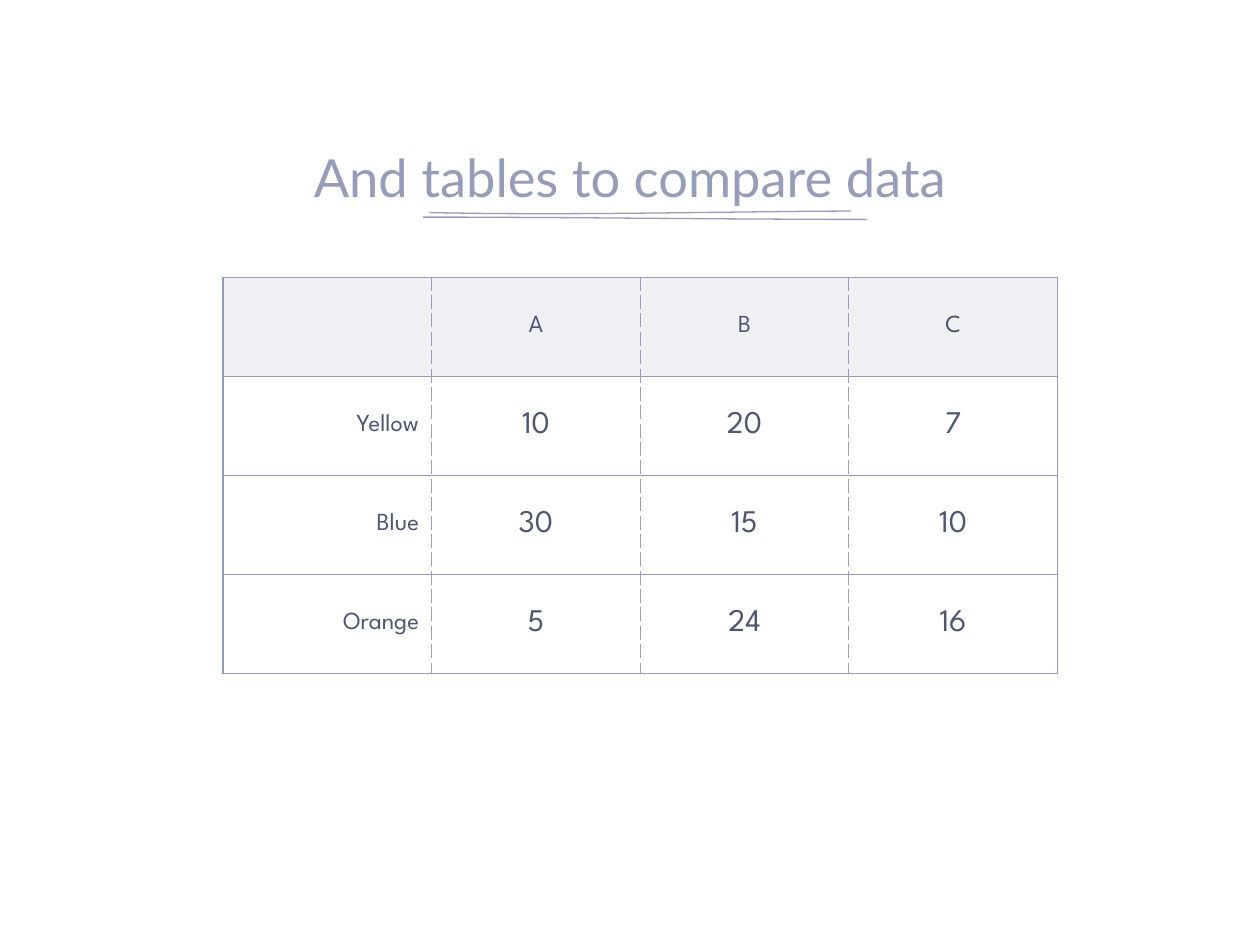
from dataclasses import dataclass

from lxml.etree import SubElement
from pptx import Presentation
from pptx.dml.color import RGBColor
from pptx.enum.text import MSO_ANCHOR, MSO_AUTO_SIZE, PP_ALIGN
from pptx.oxml import parse_xml
from pptx.oxml.ns import nsdecls, qn
from pptx.slide import Slide
from pptx.table import _Cell
from pptx.text.text import _Paragraph
from pptx.util import Pt

LAVENDER = RGBColor(0x97, 0x9C, 0xB8)
SLATE = RGBColor(0x50, 0x56, 0x70)
LINE_WIDTH = Pt(0.75)
INSET = Pt(7.2)
HEADER_OPACITY = 15000  # thousandths of a percent
CURVE_STEPS = 24
TABLE_LEFT, TABLE_TOP = Pt(127.45), Pt(158.4)
COLUMN_WIDTH, ROW_HEIGHT = Pt(119.2), Pt(56.6)
FRAME_FORMAT = {
    "margin_left": INSET, "margin_right": INSET,
    "margin_top": INSET, "margin_bottom": INSET,
}
ROWS = [
    ("", "A", "B", "C"),
    ("Yellow", "10", "20", "7"),
    ("Blue", "30", "15", "10"),
    ("Orange", "5", "24", "16"),
]


@dataclass
class TextStyle:
    font: str
    size: float
    color: RGBColor
    alignment: PP_ALIGN


@dataclass
class Stroke:
    """A cubic curve: start, two control points and end, in points."""
    points: tuple[tuple[float, float], ...]


UNDERLINES = [
    Stroke(((245.6, 121.5), (326.2, 123.2), (406.1, 121), (486.6, 120.6))),
    Stroke(((241.7, 124.1), (326.2, 124.1), (411.1, 125.4), (495.5, 125.4))),
]


def set_attributes(target: object, values: dict) -> None:
    for name, value in values.items():
        setattr(target, name, value)


def write_text(paragraph: _Paragraph, text: str, style: TextStyle) -> None:
    paragraph.alignment = style.alignment
    run = paragraph.add_run()
    run.text = text
    set_attributes(run.font, {"name": style.font, "size": Pt(style.size), "bold": False})
    run.font.color.rgb = style.color


def draw_stroke(slide: Slide, stroke: Stroke) -> None:
    def position(t: float) -> tuple[int, int]:
        weights = ((1 - t) ** 3, 3 * t * (1 - t) ** 2, 3 * t ** 2 * (1 - t), t ** 3)
        x, y = (sum(w * p[axis] for w, p in zip(weights, stroke.points)) for axis in (0, 1))
        return Pt(x), Pt(y)

    start, *rest = [position(step / CURVE_STEPS) for step in range(CURVE_STEPS + 1)]
    builder = slide.shapes.build_freeform(*start)
    builder.add_line_segments(rest, close=False)
    shape = builder.convert_to_shape()
    shape.shadow.inherit = False
    shape.fill.background()
    shape.line.color.rgb = LAVENDER
    shape.line.width = LINE_WIDTH


def set_borders(cell: _Cell, dashes: dict[str, str]) -> None:
    properties = cell._tc.get_or_add_tcPr()
    for index, (side, dash) in enumerate(dashes.items()):
        border = parse_xml(
            f'<a:{side} {nsdecls("a")} w="{LINE_WIDTH}"><a:solidFill>'
            f'<a:srgbClr val="{LAVENDER}"/></a:solidFill>'
            f'<a:prstDash val="{dash}"/></a:{side}>')
        properties.insert(index, border)


def fill_cell(cell: _Cell, is_header: bool) -> None:
    if not is_header:
        cell.fill.background()
        return
    cell.fill.solid()
    cell.fill.fore_color.rgb = LAVENDER
    color = cell._tc.tcPr.find(".//" + qn("a:srgbClr"))
    SubElement(color, qn("a:alpha"), val=str(HEADER_OPACITY))


def add_title(slide: Slide) -> None:
    title = slide.shapes.title
    set_attributes(title, {"left": Pt(81), "top": Pt(54),
                           "width": Pt(558), "height": Pt(72)})
    set_attributes(title.text_frame, FRAME_FORMAT | {
        "vertical_anchor": MSO_ANCHOR.BOTTOM, "word_wrap": True,
        "auto_size": MSO_AUTO_SIZE.NONE})
    write_text(title.text_frame.paragraphs[0], "And tables to compare data",
               TextStyle("Lato", 30, LAVENDER, PP_ALIGN.CENTER))


def add_data_table(slide: Slide) -> None:
    column_count = len(ROWS[0])
    table = slide.shapes.add_table(
        len(ROWS), column_count, TABLE_LEFT, TABLE_TOP,
        COLUMN_WIDTH * column_count, ROW_HEIGHT * len(ROWS)).table
    set_attributes(table, {"first_row": False, "horz_banding": False})
    for column in table.columns:
        column.width = COLUMN_WIDTH
    for row in table.rows:
        row.height = ROW_HEIGHT

    for row_index, values in enumerate(ROWS):
        for column_index, text in enumerate(values):
            cell = table.cell(row_index, column_index)
            is_header, is_label = row_index == 0, column_index == 0
            set_attributes(cell, FRAME_FORMAT | {"vertical_anchor": MSO_ANCHOR.MIDDLE})
            fill_cell(cell, is_header)
            # Outer edges are solid, inner column edges dashed
            set_borders(cell, {
                "lnL": "solid" if is_label else "dash",
                "lnR": "solid" if column_index == column_count - 1 else "dash",
                "lnT": "solid", "lnB": "solid"})
            if text:
                write_text(cell.text_frame.paragraphs[0], text, TextStyle(
                    "League Spartan", 14 if is_header or is_label else 18, SLATE,
                    PP_ALIGN.RIGHT if is_label else PP_ALIGN.CENTER))


def main() -> None:
    presentation = Presentation()
    set_attributes(presentation, {"slide_width": Pt(720), "slide_height": Pt(540)})
    slide = presentation.slides.add_slide(presentation.slide_layouts[5])

    # Hand-drawn double underline
    for stroke in UNDERLINES:
        draw_stroke(slide, stroke)

    # Heading and comparison table
    add_title(slide)
    add_data_table(slide)
    presentation.save("out.pptx")


if __name__ == "__main__":
    main()
